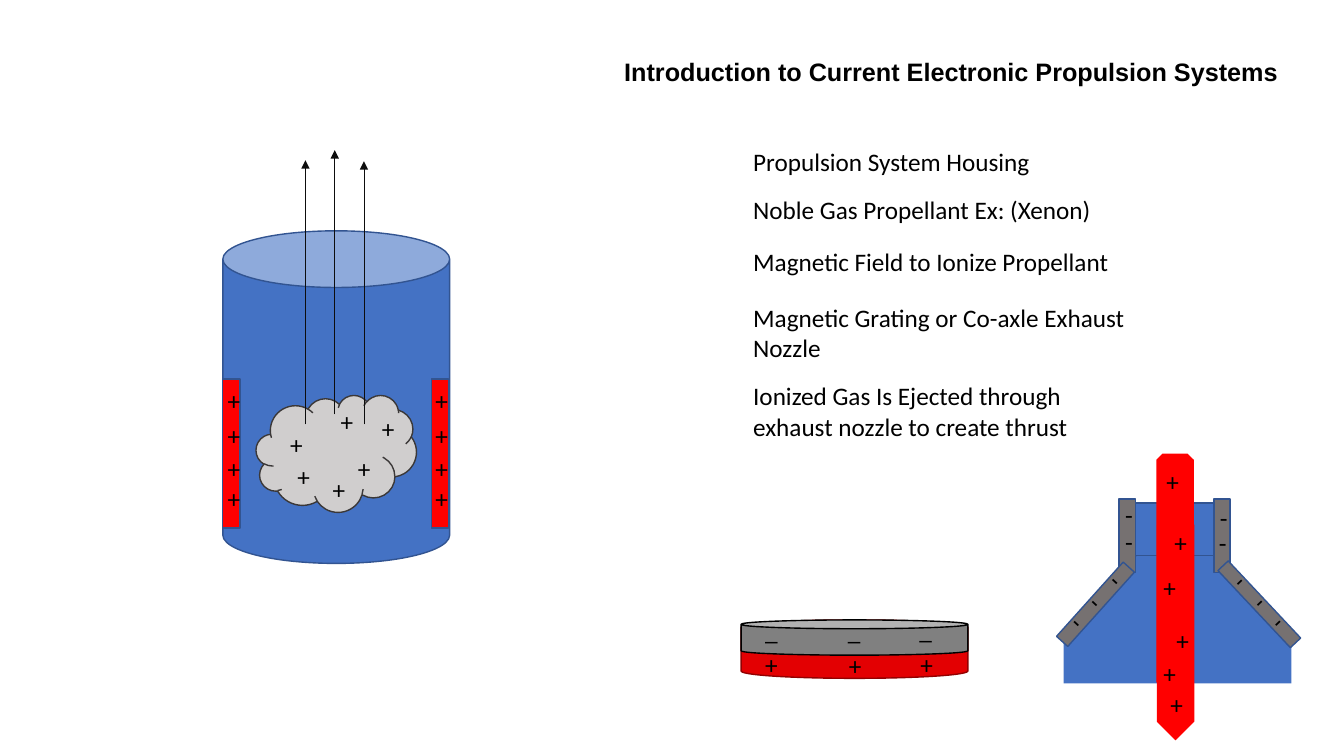
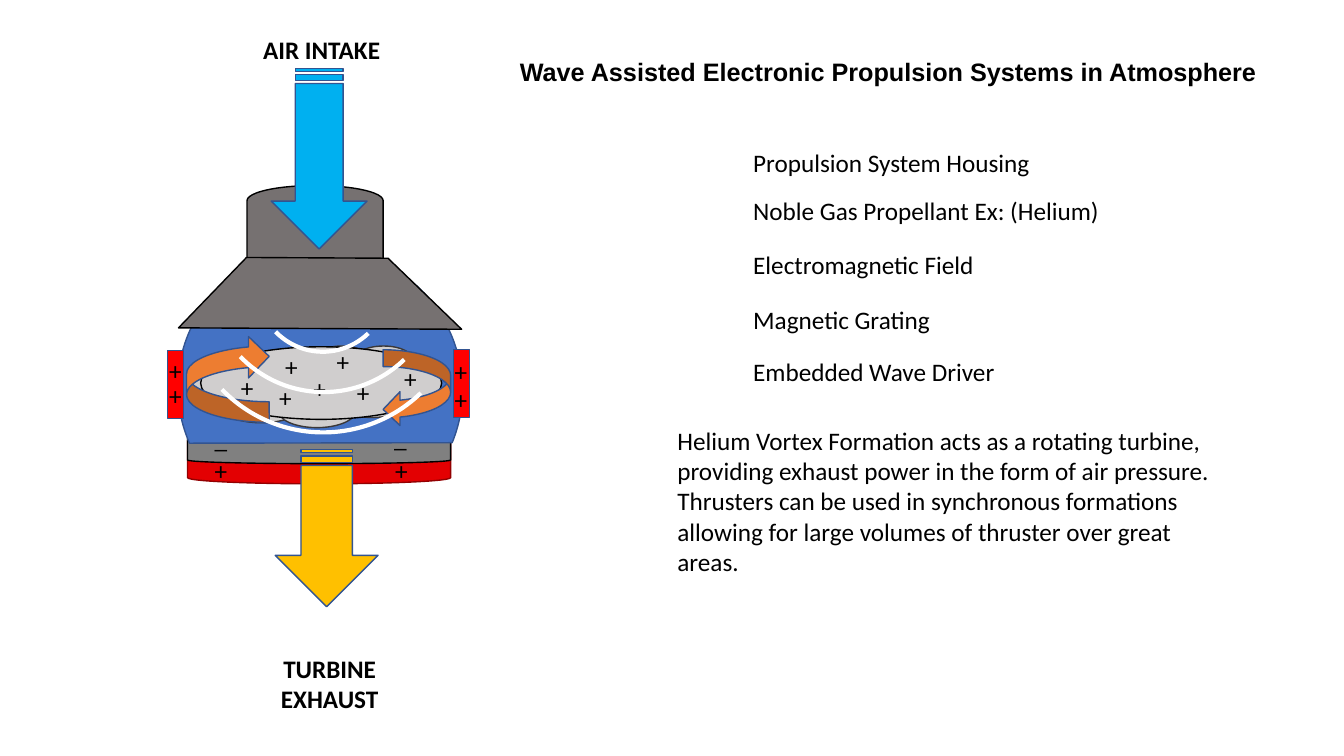
from dataclasses import dataclass
from itertools import product

from pptx import Presentation
from pptx.dml.color import RGBColor
from pptx.enum.shapes import MSO_CONNECTOR as Wire, MSO_SHAPE as Kind
from pptx.enum.text import MSO_ANCHOR as Anchor, MSO_AUTO_SIZE as Fit, PP_ALIGN as Align
from pptx.oxml.ns import qn
from pptx.util import Emu, Pt
from lxml import etree

SCALE = 9144  # EMU in one px, 100 px to the inch


def px(num):
    return Emu(num * SCALE)


@dataclass(frozen=True)
class Theme:
    blue: str = "4472C4"
    edge: str = "325491"
    red: str = "FF0000"
    deep: str = "E30002"
    rim: str = "930001"
    gray: str = "808080"
    steel: str = "767171"
    gas: str = "D0CECE"
    smoke: str = "3B3838"
    ray: str = "0D0D0D"
    orange: str = "ED7D31"
    gold: str = "FFC000"
    sky: str = "00B0F0"
    white: str = "FFFFFF"
    black: str = "000000"
    head: str = "Arial"
    body: str = "Calibri"
    size: int = 18


T = Theme()


class Deck:
    def __init__(self):
        self.prs = Presentation()
        self.prs.slide_width, self.prs.slide_height = px(1333), px(750)
        self.page = None

    def place(self, shape, x, y, w, h):
        shape.left, shape.top, shape.width, shape.height = map(px, (x, y, w, h))

    def font(self, para, name=T.body, bold=False):
        para.font.name, para.font.size, para.font.bold = name, Pt(T.size), bold
        para.font.color.rgb = RGBColor.from_string(T.black)

    # Slide with its title
    def start(self, title, x, w):
        self.page = self.prs.slides.add_slide(self.prs.slide_layouts[1])
        box = self.page.shapes.title
        self.place(box, x, 51, w, 40)
        box.text_frame.text = title
        box.text_frame.auto_size = Fit.NONE
        para = box.text_frame.paragraphs[0]
        para.alignment = Align.CENTER
        self.font(para, T.head, True)

    # List of (gap above in points, text)
    def list(self, y, rows):
        box = self.page.placeholders[1]
        self.place(box, 737, y, 395, 320)
        frame = box.text_frame
        frame.auto_size, frame.vertical_anchor = Fit.NONE, Anchor.TOP
        frame.text = "\n".join(text for _, text in rows)
        for para, (gap, _) in zip(frame.paragraphs, rows):
            para.space_before = Pt(gap)
            self.font(para)
            props = para._p.get_or_add_pPr()
            props.set("marL", "0")
            props.set("indent", "0")
            spot = props.find(qn("a:defRPr"))
            spot.addprevious(etree.Element(qn("a:buNone")))

    def text(self, text, x, y, w, h=40, turn=0, bold=False, align=Align.LEFT):
        box = self.page.shapes.add_textbox(*map(px, (x, y, w, h)))
        box.rotation = turn
        frame = box.text_frame
        frame.word_wrap = True
        frame.text = text
        para = frame.paragraphs[0]
        para.alignment = align
        self.font(para, bold=bold)

    def marks(self, sign, spots, turn=0):
        for x, y in spots:
            self.text(sign, x, y, 41, turn=turn)

    def shape(self, kind, x, y, w, h, fill=None, line=T.edge, turn=0, wide=1):
        item = self.page.shapes.add_shape(kind, *map(px, (x, y, w, h)))
        item.shadow.inherit = False
        item.rotation = turn
        if fill:
            item.fill.solid()
            item.fill.fore_color.rgb = RGBColor.from_string(fill)
        else:
            item.fill.background()
        if line:
            item.line.color.rgb = RGBColor.from_string(line)
            item.line.width = Pt(wide)
        else:
            item.line.fill.background()

    def arrow(self, x, low, top):
        wire = self.page.shapes.add_connector(
            Wire.STRAIGHT, px(x), px(low), px(x), px(top))
        wire.line.color.rgb = RGBColor.from_string(T.ray)
        wire.line.width = Pt(0.5)
        tip = etree.SubElement(wire.line._get_or_add_ln(), qn("a:tailEnd"))
        tip.set("type", "triangle")
        etree.SubElement(wire._element.spPr, qn("a:effectLst"))

    # Grating: gray plate over a red one, with its charges
    def grate(self, x, y, w, deep, thin, minus, plus):
        self.shape(Kind.CAN, x, y, w, deep, T.deep, T.rim)
        self.shape(Kind.CAN, x, y, w, thin, T.gray, T.black)
        self.marks("_", minus)
        self.marks("+", plus)


def basic(deck):
    deck.start("Introduction to Current Electronic Propulsion Systems", 606, 675)
    deck.list(140, [
        (0, "Propulsion System Housing"),
        (13, "Noble Gas Propellant Ex: (Xenon)"),
        (15.5, "Magnetic Field to Ionize Propellant"),
        (18, "Magnetic Grating or Co-axle Exhaust Nozzle"),
        (13, "Ionized Gas Is Ejected through exhaust nozzle to create thrust"),
    ])

    # Housing, magnets and ionized gas
    deck.shape(Kind.CAN, 221, 229, 225, 330, T.blue)
    for x in (221, 428):
        deck.shape(Kind.RECTANGLE, x, 376, 17, 148, T.red)
    deck.shape(Kind.CLOUD, 254, 392, 159, 116, T.gas, T.smoke)
    for x, low, top in ((303, 421, 159), (361, 421, 160), (332, 411, 149)):
        deck.arrow(x, low, top)
    deck.marks("+", [(285, 453), (320, 466), (345, 445),
                     (278, 421), (369, 405), (328, 398)])
    deck.marks("+", product((216, 422), (377, 412, 445, 475)))

    # Grating
    deck.grate(735, 615, 225, 58, 35,
               [(749, 606), (831, 606), (902, 605)],
               [(749, 639), (832, 640), (903, 639)])

    # Co-axle nozzle
    deck.shape(Kind.ISOSCELES_TRIANGLE, 1055, 504, 225, 130, T.blue)
    deck.shape(Kind.RECTANGLE, 1055, 633, 226, 45, T.blue, None)
    deck.shape(Kind.RECTANGLE, 1125, 499, 84, 52, T.blue)
    deck.shape(Kind.PENTAGON, 1059, 609, 214, 37, T.red, None, 90)
    deck.shape(Kind.SNIP_2_SAME_RECTANGLE, 1147, 450, 37, 227, T.red, None)
    for x in (1204, 1110):
        deck.shape(Kind.RECTANGLE, x, 495, 16, 73, T.steel)
    deck.shape(Kind.RECTANGLE, 1079, 550, 15, 99, T.steel, turn=41.9)
    deck.shape(Kind.RECTANGLE, 1242, 547, 14, 105, T.steel, turn=316.8)
    deck.marks("+", [(1147, 458), (1155, 518), (1144, 563),
                     (1157, 615), (1144, 648), (1151, 679)])
    deck.marks("-", [(1106, 490), (1106, 517), (1200, 493), (1199, 518)])
    deck.marks("-", [(1092, 560), (1072, 582), (1054, 602)], 43.3)
    deck.marks("-", [(1212, 551), (1232, 572), (1250, 592)], 316.1)


def wave(deck):
    deck.start("Wave Assisted Electronic Propulsion Systems in Atmosphere", 501, 760)
    deck.list(141, [
        (0, "Propulsion System Housing"),
        (12.5, "Noble Gas Propellant Ex: (Helium)"),
        (17.5, "Electromagnetic Field"),
        (17.5, "Magnetic Grating"),
        (15.5, "Embedded Wave Driver"),
    ])

    # Grating, housing and intake cone
    deck.grate(186, 431, 261, 49, 29,
               [(203, 415), (381, 414)], [(203, 447), (382, 447)])
    deck.shape(Kind.CHORD, 178, 244, 279, 283, T.blue, turn=112.3)
    deck.shape(Kind.CAN, 245, 184, 135, 120, T.steel, T.black, 180)
    deck.shape(Kind.DIAGONAL_STRIPE, 216, 229, 203, 194, T.steel, T.black, 44)

    # Gas vortex
    deck.shape(Kind.CLOUD, 187, 343, 249, 81, T.gas, T.smoke)
    deck.shape(Kind.OVAL, 199, 344, 239, 72, T.gas, T.black)
    deck.shape(Kind.CURVED_LEFT_ARROW, 380, 347, 67, 76, T.orange)
    deck.shape(Kind.CURVED_DOWN_ARROW, 183, 335, 86, 82, T.orange, turn=270)
    deck.shape(Kind.STRIPED_RIGHT_ARROW, 246, 473, 156, 102, T.gold, turn=90)
    deck.marks("+", [(301, 365), (344, 369), (273, 344), (324, 339),
                     (391, 356), (267, 374), (229, 364)])

    # Waves
    for x, y, size in ((255, 219, 130), (206, 159, 230), (181, 150, 279)):
        deck.shape(Kind.ARC, x, y, size, size, None, T.white, 136, 3)

    # Side magnets
    for x, y in ((450, 347), (166, 348)):
        deck.shape(Kind.RECTANGLE, x, y, 16, 67, T.red)
    deck.marks("+", [(441, 376), (441, 349), (158, 348), (158, 372)])

    # Intake, exhaust and summary
    deck.shape(Kind.STRIPED_RIGHT_ARROW, 227, 110, 179, 95, T.sky, turn=90)
    deck.text("AIR INTAKE", 239, 29, 160, bold=True, align=Align.CENTER)
    deck.text("TURBINE EXHAUST", 247, 643, 160, 71, bold=True, align=Align.CENTER)
    deck.text("Helium Vortex Formation acts as a rotating turbine, providing "
              "exhaust power in the form of air pressure. Thrusters can be used "
              "in synchronous formations allowing for large volumes of thruster "
              "over great areas.", 662, 417, 558, 162)


def main():
    deck = Deck()
    basic(deck)
    wave(deck)
    deck.prs.save("out.pptx")


if __name__ == "__main__":
    main()
